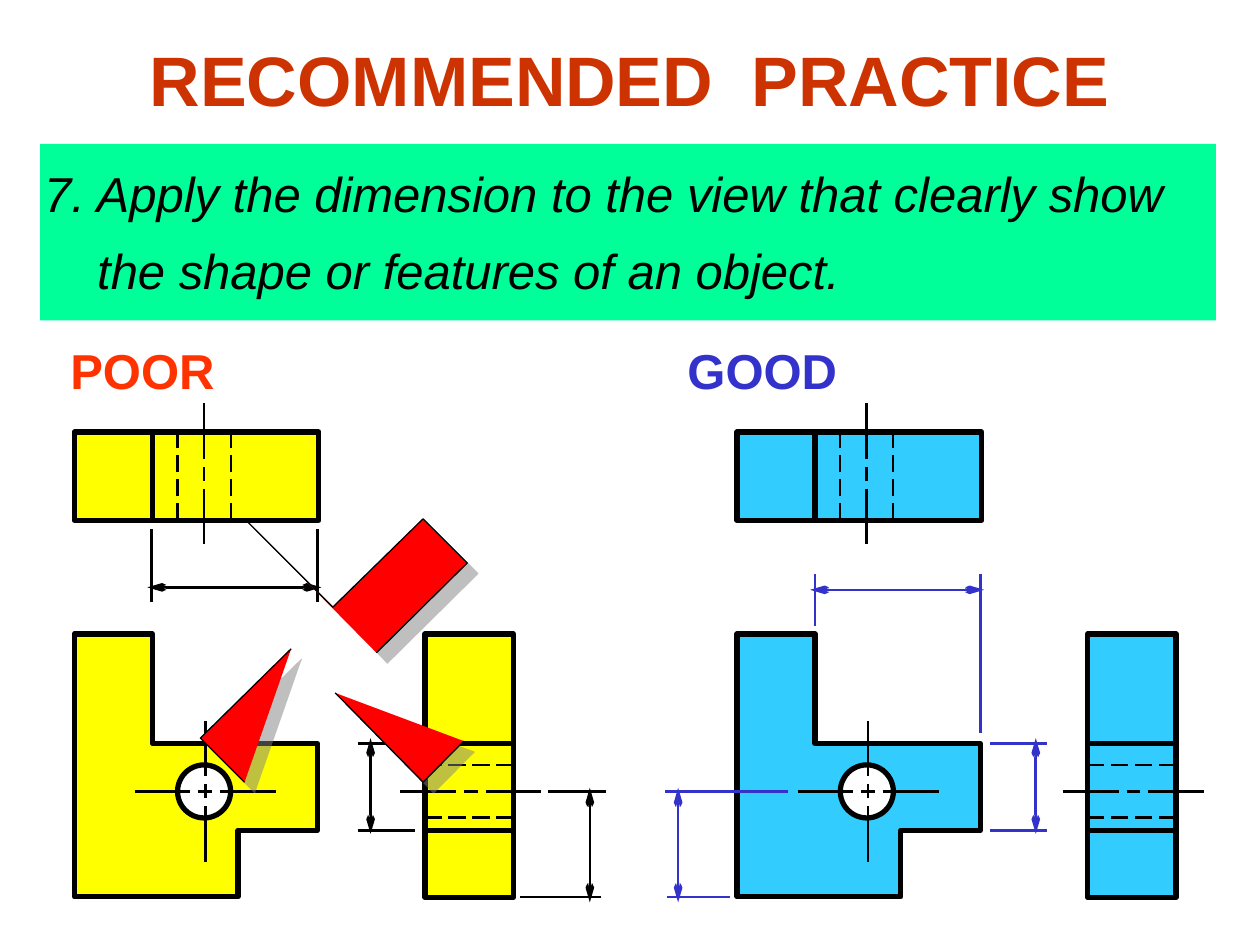
from lxml import etree
from pptx import Presentation
from pptx.dml.color import RGBColor
from pptx.enum.dml import MSO_LINE
from pptx.enum.shapes import MSO_CONNECTOR, MSO_SHAPE
from pptx.enum.text import MSO_ANCHOR, PP_ALIGN
from pptx.oxml.ns import qn
from pptx.util import Cm, Pt

RECTANGLE, OVAL = MSO_SHAPE.RECTANGLE, MSO_SHAPE.OVAL
STRAIGHT = MSO_CONNECTOR.STRAIGHT
LONG_DASH = MSO_LINE.LONG_DASH
CENTER, LEFT = PP_ALIGN.CENTER, PP_ALIGN.LEFT
MIDDLE, TOP = MSO_ANCHOR.MIDDLE, MSO_ANCHOR.TOP

BLACK, WHITE, RED, BLUE = "000000", "FFFFFF", "FF0000", "3333CC"
YELLOW, SKY, MINT = "FFFF00", "33CCFF", "00FF99"

# All positions are in centimetres.
BANNER = (0.81, 2.9, 23.7, 3.56)
HANGING = 1.07
RULE = "7. Apply the dimension to the view that clearly show\vthe shape or features of an object."
TITLE = "RECOMMENDED  PRACTICE"
LABELS = [
    ("POOR", (1.17, 6.73, 4.2, 1.45), "FF3300"),
    ("GOOD", (13.61, 6.73, 4.2, 1.45), BLUE),
]

# Three views of the part, for the left example; the right one is shifted.
GOOD_SHIFT = 13.36
FRONT_VIEW = [(1.5, 12.78), (3.07, 12.78), (3.07, 14.99), (6.4, 14.99),
              (6.4, 16.74), (4.8, 16.74), (4.8, 18.08), (1.5, 18.08)]
TOP_VIEW = (1.5, 8.71, 4.93, 1.78)
SIDE_VIEW = (8.57, 12.78, 1.78, 5.31)
HOLE = (3.58, 15.42, 1.07, 1.07)
EDGES = [(3.07, 10.44, 3.07, 8.71), (8.55, 14.99, 10.35, 14.99), (8.55, 16.74, 10.35, 16.74)]
HIDDEN_EDGES = [(8.55, 16.48, 10.35, 16.48), (8.55, 15.42, 10.35, 15.42),
                (4.65, 10.49, 4.65, 8.67), (3.58, 10.49, 3.58, 8.67)]
CENTER_MARKS = [(4.14, 15.95, "vertical"), (4.14, 15.95, "horizontal"),
                (9.49, 15.95, "horizontal"), (4.11, 9.55, "vertical")]
MARK_DASHES = [(-1.42, -0.3), (-0.14, 0.14), (0.3, 1.42)]

# Each dimension: the measuring line, then its two extension lines.
POOR_DIMENSIONS = [
    [(11.89, 15.88, 11.89, 18.19), (12.22, 15.95, 11.05, 15.95), (12.12, 18.08, 10.49, 18.08)],
    [(6.48, 11.84, 2.97, 11.84), (3.05, 12.14, 3.05, 10.67), (6.4, 12.14, 6.4, 10.67)],
    [(7.47, 14.88, 7.47, 16.81), (7.21, 14.99, 8.36, 14.99), (7.21, 16.74, 8.36, 16.74)],
]
GOOD_DIMENSIONS = [
    [(19.84, 11.89, 16.33, 11.89), (16.43, 12.62, 16.43, 11.58), (19.76, 14.78, 19.76, 11.58)],
    [(20.88, 14.88, 20.88, 16.81), (19.96, 14.99, 21.11, 14.99), (19.96, 16.74, 21.11, 16.74)],
    [(13.67, 15.88, 13.67, 18.19), (15.88, 15.95, 13.41, 15.95), (14.71, 18.08, 13.44, 18.08)],
]

CROSS_PIECES = [
    [(5.87, 13.08), (4.04, 14.88), (4.93, 15.77)],
    [(6.76, 13.97), (8.53, 15.77), (9.35, 14.94)],
    [(7.59, 13.16), (9.42, 11.35), (8.53, 10.46), (6.71, 12.24), (4.93, 10.46)],
]


def color(code):
    return RGBColor.from_string(code)


def paint(shape, fill, width=None):
    """Fill a shape and give it a black outline, or none without a width."""
    shape.shadow.inherit = False
    shape.fill.solid()
    shape.fill.fore_color.rgb = color(fill)
    if width is None:
        shape.line.fill.background()
    else:
        shape.line.color.rgb = color(BLACK)
        shape.line.width = Pt(width)


def add_preset(page, kind, place, fill, width=None, shift=0):
    left, top, wide, high = place
    shape = page.shapes.add_shape(kind, Cm(left + shift), Cm(top), Cm(wide), Cm(high))
    paint(shape, fill, width)


def add_outline(page, pieces, fill, width, close, shift=0):
    contours = [[(Cm(x + shift), Cm(y)) for x, y in piece] for piece in pieces]
    builder = page.shapes.build_freeform(*contours[0][0])
    for number, (start, *others) in enumerate(contours):
        if number:
            builder.move_to(*start)
        builder.add_line_segments(others, close=close)
    shape = builder.convert_to_shape()
    paint(shape, fill, width)
    return shape


def add_line(page, ends, width, code=BLACK, shift=0, dash=None, arrows=False):
    x1, y1, x2, y2 = ends
    line = page.shapes.add_connector(STRAIGHT, Cm(x1 + shift), Cm(y1), Cm(x2 + shift), Cm(y2))
    line.line.color.rgb = color(code)
    line.line.width = Pt(width)
    if dash is not None:
        line.line.dash_style = dash
    if arrows:
        for end in ("a:headEnd", "a:tailEnd"):
            etree.SubElement(line.line._get_or_add_ln(), qn(end), type="arrow", w="sm", len="lg")
    etree.SubElement(line._element.spPr, qn("a:effectLst"))


def add_text(page, text, place, font, anchor=TOP, align=LEFT, spacing=1.0, hanging=0):
    box = page.shapes.add_textbox(*map(Cm, place))
    box.text_frame.word_wrap = True
    box.text_frame.vertical_anchor = anchor
    para = box.text_frame.paragraphs[0]
    para.text = text
    para.alignment = align
    para.line_spacing = spacing
    if hanging:
        properties = para._p.get_or_add_pPr()
        properties.set("marL", str(Cm(hanging)))
        properties.set("indent", str(-Cm(hanging)))
    for span in para.runs:
        span.font.color.rgb = color(font["color"])
        for name, value in font["format"].items():
            setattr(span.font, name, value)


def add_part(page, fill, shift):
    """Draw the front, top and side views with their edges and centre lines."""
    add_outline(page, [FRONT_VIEW], fill, 3, True, shift)
    add_preset(page, RECTANGLE, TOP_VIEW, fill, 3, shift)
    add_preset(page, OVAL, HOLE, WHITE, 3, shift)
    add_preset(page, RECTANGLE, SIDE_VIEW, fill, 3, shift)
    for edge in EDGES:
        add_line(page, edge, 3, shift=shift)
    for edge in HIDDEN_EDGES:
        add_line(page, edge, 1.25, shift=shift, dash=LONG_DASH)
    for x, y, direction in CENTER_MARKS:
        for start, end in MARK_DASHES:
            ends = (x, y + start, x, y + end) if direction == "vertical" else (x + start, y, x + end, y)
            add_line(page, ends, 1.5, shift=shift)


def add_dimensions(page, dimensions, code):
    for measure, *extensions in dimensions:
        for extension in extensions:
            add_line(page, extension, 1.5, code)
        add_line(page, measure, 1.5, code, arrows=True)


def add_cross(page):
    cross = add_outline(page, CROSS_PIECES, RED, 0.75, False)
    effects = cross._element.spPr.find(qn("a:effectLst"))
    shadow = etree.SubElement(effects, qn("a:outerShdw"), dist=str(Pt(8.5)),
                              dir="2700000", algn="ctr", rotWithShape="0")
    tint = etree.SubElement(shadow, qn("a:srgbClr"), val="808080")
    etree.SubElement(tint, qn("a:alpha"), val="50000")


def main():
    deck = Presentation()
    deck.slide_width, deck.slide_height = Cm(25.4), Cm(19.05)
    page = deck.slides.add_slide(deck.slide_layouts[6])
    bold = {"name": "Arial", "size": Pt(28), "bold": True}
    italic = {"name": "Arial", "size": Pt(28), "italic": True}

    add_preset(page, RECTANGLE, BANNER, MINT)
    add_text(page, RULE, (0.64, 2.82, 23.85, 3.35), {"color": BLACK, "format": italic},
             spacing=1.3, hanging=HANGING)
    add_dimensions(page, POOR_DIMENSIONS, BLACK)
    add_part(page, YELLOW, 0)
    add_part(page, SKY, GOOD_SHIFT)
    add_dimensions(page, GOOD_DIMENSIONS, BLUE)
    for text, place, code in LABELS:
        add_text(page, text, place, {"color": code, "format": bold})
    add_text(page, TITLE, (1.9, 0, 21.59, 3.18),
             {"color": "CC3300", "format": {**bold, "size": Pt(40)}}, anchor=MIDDLE, align=CENTER)
    add_cross(page)
    deck.save("out.pptx")


if __name__ == "__main__":
    main()
